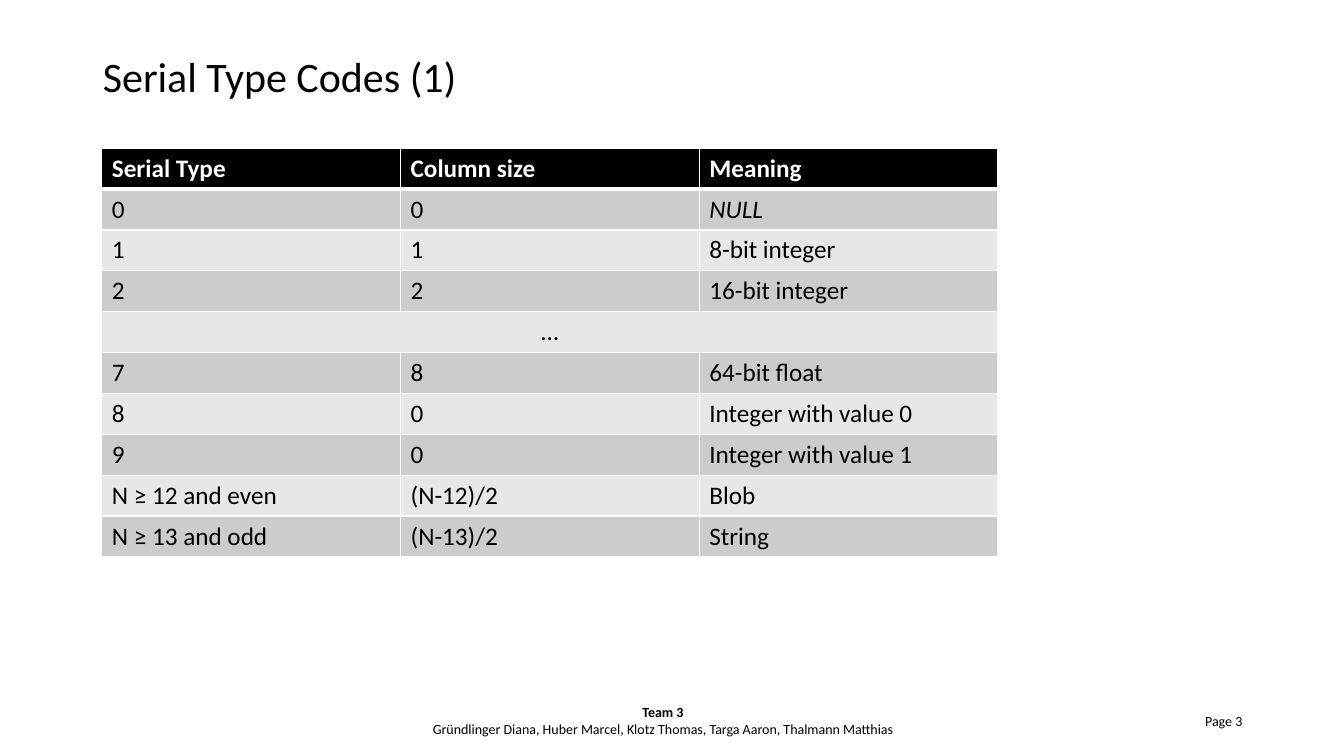
from pptx import Presentation
from pptx.util import Inches, Pt
from pptx.dml.color import RGBColor as Rgb
from pptx.enum.text import PP_ALIGN as Align, MSO_ANCHOR as Anchor, MSO_AUTO_SIZE as Fit
from pptx.oxml.ns import qn
from lxml.etree import SubElement as Sub

HUES = {"black": "000000", "white": "FFFFFF", "dark": "CCCCCC", "light": "E7E7E7"}


def write(para, text, size=18, hue="black", bold=False, italic=False, align=Align.LEFT):
    para.alignment = align
    run = para.add_run()
    run.text = text
    font = run.font
    font.name, font.size = "Calibri", Pt(size)
    font.bold, font.italic = bold, italic
    font.color.rgb = Rgb.from_string(HUES[hue])


def edge(cell, side, width):
    line = Sub(cell._tc.get_or_add_tcPr(), qn("a:" + side), w=str(Pt(width)))
    Sub(Sub(line, qn("a:solidFill")), qn("a:srgbClr"), val=HUES["white"])


deck = Presentation()
deck.slide_width, deck.slide_height = Inches(13.33), Inches(7.5)
slide = deck.slides.add_slide(deck.slide_layouts[5])

# Title
title = slide.shapes.title
title.left, title.top = Inches(0.92), Inches(0.52)
title.width, title.height = Inches(11.5), Inches(0.52)
frame = title.text_frame
frame.auto_size, frame.vertical_anchor = Fit.NONE, Anchor.MIDDLE
frame.paragraphs[0].line_spacing = 0.9
write(frame.paragraphs[0], "Serial Type Codes (1)", size=30)

# Table of serial types
rows = [
    ("Serial Type", "Column size", "Meaning"),
    ("0", "0", "NULL"),
    ("1", "1", "8-bit integer"),
    ("2", "2", "16-bit integer"),
    ("…",),
    ("7", "8", "64-bit float"),
    ("8", "0", "Integer with value 0"),
    ("9", "0", "Integer with value 1"),
    ("N ≥ 12 and even", "(N-12)/2", "Blob"),
    ("N ≥ 13 and odd", "(N-13)/2", "String"),
]
table = slide.shapes.add_table(len(rows), 3, Inches(1.01), Inches(1.47),
                               Inches(8.89), Inches(4.05)).table
for r, row in enumerate(rows):
    head, gap = r == 0, len(row) == 1
    if gap:
        table.cell(r, 0).merge(table.cell(r, 2))
    for c, cell in enumerate(table.rows[r].cells):
        for side in ("lnL", "lnR", "lnT", "lnB"):
            thick = (head and side == "lnB") or (r == 1 and side == "lnT")
            edge(cell, side, 3 if thick else 1)
        cell.fill.solid()
        fill = "black" if head else "dark" if r % 2 else "light"
        cell.fill.fore_color.rgb = Rgb.from_string(HUES[fill])
        if c < len(row):
            write(cell.text_frame.paragraphs[0], row[c], bold=head,
                  hue="white" if head else "black", italic=row[c] == "NULL",
                  align=Align.CENTER if gap else Align.LEFT)

# Footer: team and page number
paras = []
for left, width in ((4.07, 5.01), (9.42, 3)):
    box = slide.shapes.add_textbox(Inches(left), Inches(6.95), Inches(width), Inches(0.4))
    frame = box.text_frame
    frame.word_wrap, frame.vertical_anchor = True, Anchor.MIDDLE
    paras.append(frame.paragraphs[0])
team, page = paras
write(team, "Team 3", size=10, bold=True, align=Align.CENTER)
team.add_line_break()
write(team, "Gründlinger Diana, Huber Marcel, Klotz Thomas, Targa Aaron, Thalmann Matthias",
      size=10, align=Align.CENTER)
write(page, "Page 3", size=10, align=Align.RIGHT)

deck.save("out.pptx")
